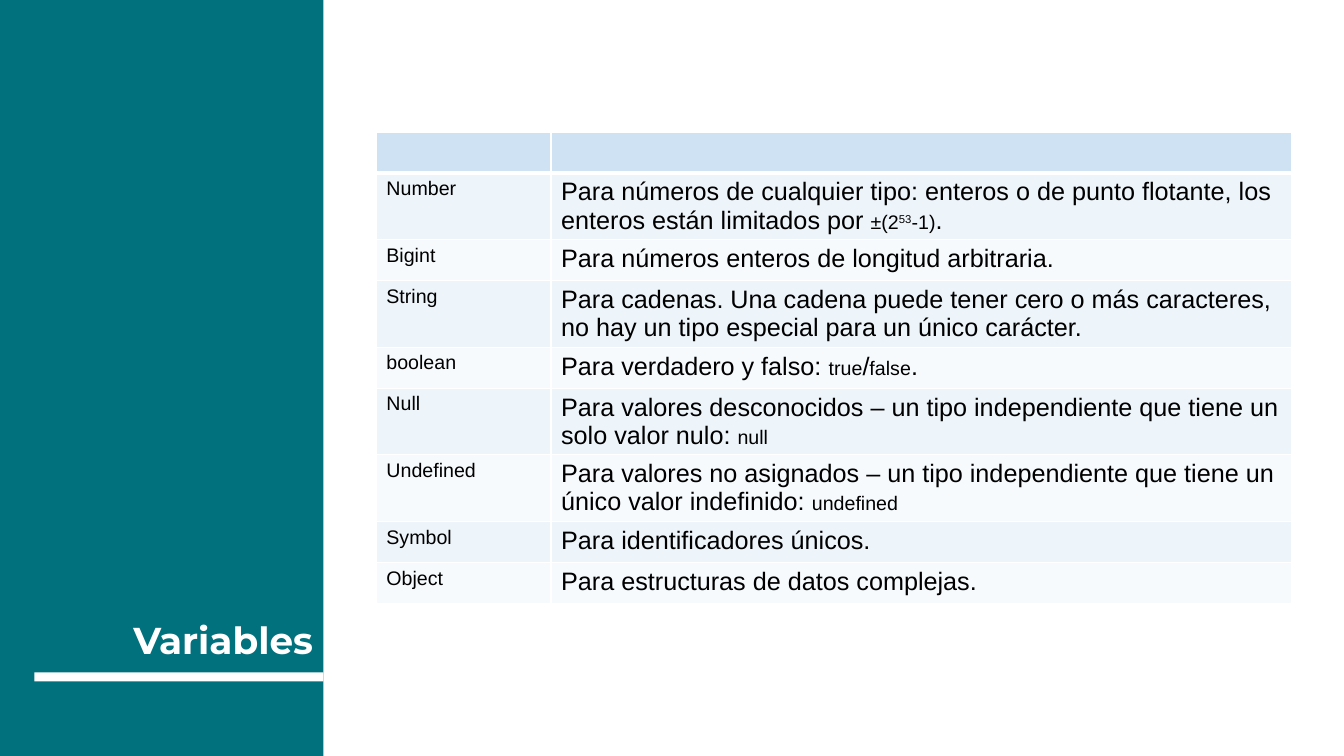
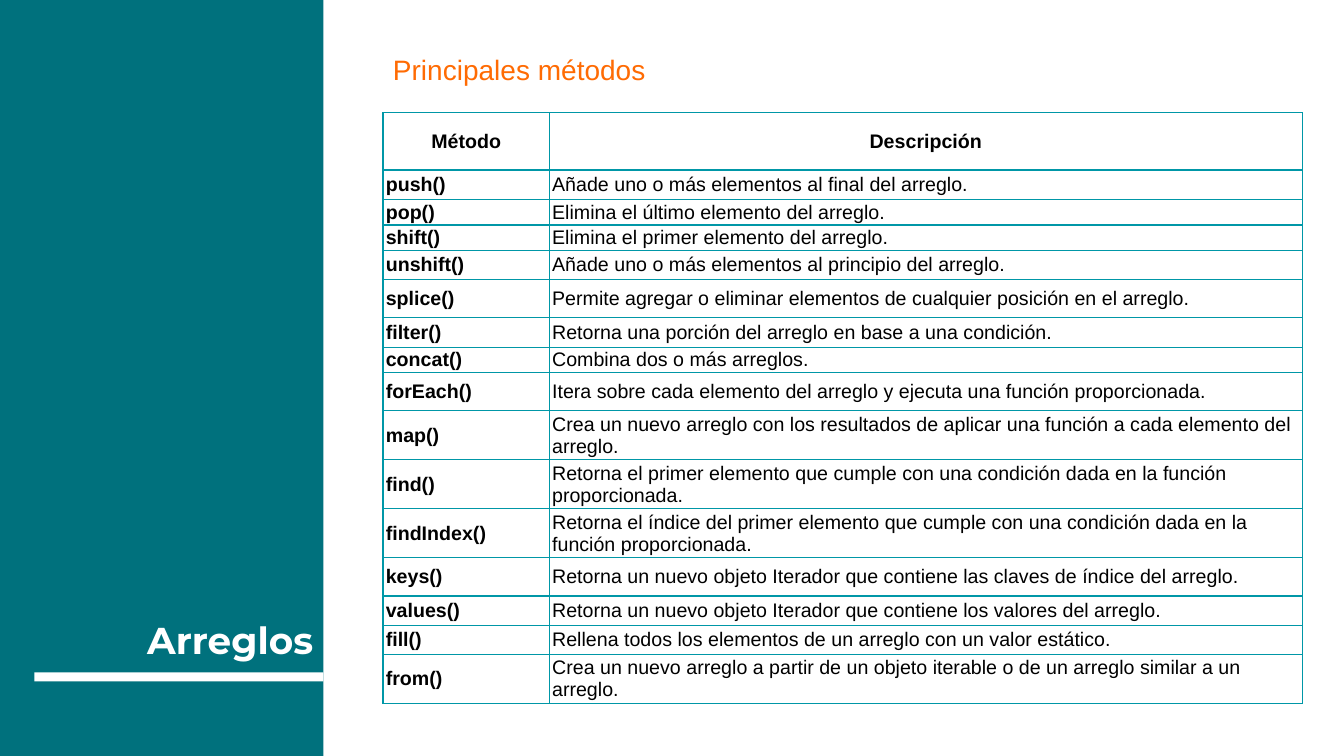
from lxml.etree import SubElement
from pptx import Presentation
from pptx.dml.color import RGBColor
from pptx.enum.shapes import MSO_SHAPE
from pptx.enum.text import MSO_ANCHOR, MSO_AUTO_SIZE, PP_ALIGN
from pptx.oxml.ns import qn
from pptx.util import Pt

COLORS = {
    "band": "00717D", "white": "FFFFFF", "text": "000000", "accent": "FF6B03",
    "grid": "0097A7", "header": "CFE2F3", "odd": "EDF4FA", "even": "F6FAFD",
}
TITLE = {"size": Pt(26.7), "name": "Montserrat", "bold": True}
SUBTITLE = {"size": Pt(20), "name": "Arial"}
BODY = {"size": Pt(18), "name": "Arial", "bold": False}
CODE = {**BODY, "size": Pt(14)}
METHOD = {**CODE, "bold": True}

BAND_BOX = (0, 0, 231, 540)
RULE_BOX = (24.5, 480.2, 206.5, 6.5)
TITLE_BOX = (30, 366, 201, 113.8)

TYPES = [
    ("Number", [
        ("Para números de cualquier tipo: enteros o de punto flotante, los enteros están limitados por ", BODY),
        ("±(2", CODE), ("53", CODE, 30000), ("-1)", CODE), (".", BODY)]),
    ("Bigint", [("Para números enteros de longitud arbitraria.", BODY)]),
    ("String", [
        ("Para cadenas. Una cadena puede tener cero o más caracteres, no hay un tipo especial para un único carácter.", BODY)]),
    ("boolean", [
        ("Para verdadero y falso: ", BODY), ("true", CODE), ("/", BODY), ("false", CODE), (".", BODY)]),
    ("Null", [
        ("Para valores desconocidos – un tipo independiente que tiene un solo valor nulo: ", BODY), ("null", CODE)]),
    ("Undefined", [
        ("Para valores no asignados – un tipo independiente que tiene un único valor indefinido: ", BODY),
        ("undefined", CODE)]),
    ("Symbol", [("Para identificadores únicos.", BODY)]),
    ("Object", [("Para estructuras de datos complejas.", BODY)]),
]

METHODS = [
    ("push()", "Añade uno o más elementos al final del arreglo.", 20.9),
    ("pop()", "Elimina el último elemento del arreglo.", 14.4),
    ("shift()", "Elimina el primer elemento del arreglo.", 14.4),
    ("unshift()", "Añade uno o más elementos al principio del arreglo.", 20.9),
    ("splice()", "Permite agregar o eliminar elementos de cualquier posición en el arreglo.", 27.3),
    ("filter()", "Retorna una porción del arreglo en base a una condición.", 20.9),
    ("concat()", "Combina dos o más arreglos.", 14.4),
    ("forEach()", "Itera sobre cada elemento del arreglo y ejecuta una función proporcionada.", 27.3),
    ("map()", "Crea un nuevo arreglo con los resultados de aplicar una función a cada elemento del arreglo.", 33.4),
    ("find()", "Retorna el primer elemento que cumple con una condición dada en la función proporcionada.", 33.4),
    ("findIndex()", "Retorna el índice del primer elemento que cumple con una condición dada en la función proporcionada.", 33.4),
    ("keys()", "Retorna un nuevo objeto Iterador que contiene las claves de índice del arreglo.", 27.3),
    ("values()", "Retorna un nuevo objeto Iterador que contiene los valores del arreglo.", 20.9),
    ("fill()", "Rellena todos los elementos de un arreglo con un valor estático.", 20.9),
    ("from()", "Crea un nuevo arreglo a partir de un objeto iterable o de un arreglo similar a un arreglo.", 33.4),
]


def rgb(key):
    """Return the named colour."""
    return RGBColor.from_string(COLORS[key])


def apply(target, values):
    """Set each attribute listed in values on the target."""
    for attribute, value in values.items():
        setattr(target, attribute, value)


def points(box):
    """Convert a box in points to lengths."""
    return [Pt(length) for length in box]


def write(paragraph, pieces, color="text"):
    """Add runs given as text, format and optional baseline shift."""
    for text, style, *shift in pieces:
        run = paragraph.add_run()
        run.text = text
        apply(run.font, style)
        run.font.color.rgb = rgb(color)
        if shift:
            run._r.get_or_add_rPr().set("baseline", str(shift[0]))


def set_borders(cell, color, widths):
    """Draw the left, right, top and bottom borders of a cell."""
    properties = cell._tc.get_or_add_tcPr()
    for side, width in zip("LRTB", widths):
        line = SubElement(properties, qn(f"a:ln{side}"), w=str(Pt(width)))
        fill = SubElement(line, qn("a:solidFill"))
        SubElement(fill, qn("a:srgbClr"), val=COLORS[color])


def add_grid(slide, left, top, column_widths, row_heights, border, header_line):
    """Add an unstyled bordered table and return it."""
    box = (left, top, sum(column_widths), sum(row_heights))
    table = slide.shapes.add_table(len(row_heights), len(column_widths), *points(box)).table
    apply(table, {"first_row": False, "horz_banding": False})
    for column, width in zip(table.columns, column_widths):
        column.width = Pt(width)
    for index, (row, height) in enumerate(zip(table.rows, row_heights)):
        row.height = Pt(height)
        above = header_line if index == 1 else 1
        below = header_line if index == 0 else 1
        for cell in row.cells:
            set_borders(cell, border, (1, 1, above, below))
            cell.fill.background()
    return table


def add_side_panel(slide, layout):
    """Put the band and the rule on the layout, behind its placeholders."""
    for position, (box, color) in enumerate([(BAND_BOX, "band"), (RULE_BOX, "white")]):
        panel = slide.shapes.add_shape(MSO_SHAPE.RECTANGLE, *points(box))
        panel.shadow.inherit = False
        panel.fill.solid()
        panel.fill.fore_color.rgb = rgb(color)
        panel.line.fill.background()
        layout.shapes.element.insert(2 + position, panel.element)


def add_title(slide, text):
    """Place the slide title at the foot of the band."""
    title = slide.shapes.title
    apply(title, dict(zip(("left", "top", "width", "height"), points(TITLE_BOX))))
    frame = title.text_frame
    apply(frame, {
        "auto_size": MSO_AUTO_SIZE.NONE, "vertical_anchor": MSO_ANCHOR.BOTTOM, "word_wrap": True,
        "margin_left": Pt(7.2), "margin_right": Pt(7.2), "margin_top": Pt(7.2), "margin_bottom": Pt(7.2)})
    frame.paragraphs[0].alignment = PP_ALIGN.RIGHT
    write(frame.paragraphs[0], [(text, TITLE)], "white")


def add_types(slide, left, top):
    """Add the banded table of data types."""
    table = add_grid(slide, left, top, (124.8, 529.2), [29.3] * (len(TYPES) + 1), "white", 3)
    for index, row in enumerate(table.rows):
        color = "header" if index == 0 else "odd" if index % 2 else "even"
        for cell in row.cells:
            cell.fill.solid()
            cell.fill.fore_color.rgb = rgb(color)
    for index, (name, description) in enumerate(TYPES, 1):
        write(table.cell(index, 0).text_frame.paragraphs[0], [(name, CODE)])
        write(table.cell(index, 1).text_frame.paragraphs[0], description)


def add_methods(slide, left, top):
    """Add the subtitle and the table of array methods below it."""
    heading = slide.shapes.add_textbox(*points((left, top, 481.7, 31.7))).text_frame
    heading.word_wrap = True
    write(heading.paragraphs[0], [("Principales métodos", SUBTITLE)], "accent")

    rows = [("Método", "Descripción", 41), *METHODS]
    heights = [height for *_, height in rows]
    table = add_grid(slide, left, top + 46.8, (118.8, 537.8), heights, "grid", 2)
    for index, (*texts, _) in enumerate(rows):
        for column, text in enumerate(texts):
            cell = table.cell(index, column)
            apply(cell, {
                "vertical_anchor": MSO_ANCHOR.MIDDLE, "margin_left": Pt(2), "margin_right": Pt(2),
                "margin_top": Pt(0.7), "margin_bottom": Pt(0.7)})
            paragraph = cell.text_frame.paragraphs[0]
            paragraph.alignment = PP_ALIGN.LEFT if index else PP_ALIGN.CENTER
            write(paragraph, [(text, CODE if index and column else METHOD)])


def main():
    """Build and save the presentation."""
    deck = Presentation()
    apply(deck, {"slide_width": Pt(960), "slide_height": Pt(540)})
    layout = deck.slide_layouts[5]
    variables, arrays = (deck.slides.add_slide(layout) for _ in range(2))
    add_side_panel(variables, layout)
    add_title(variables, "Variables")
    add_types(variables, 268.8, 94.3)
    add_title(arrays, "Arreglos")
    add_methods(arrays, 273.6, 33.8)
    deck.save("out.pptx")


if __name__ == "__main__":
    main()
